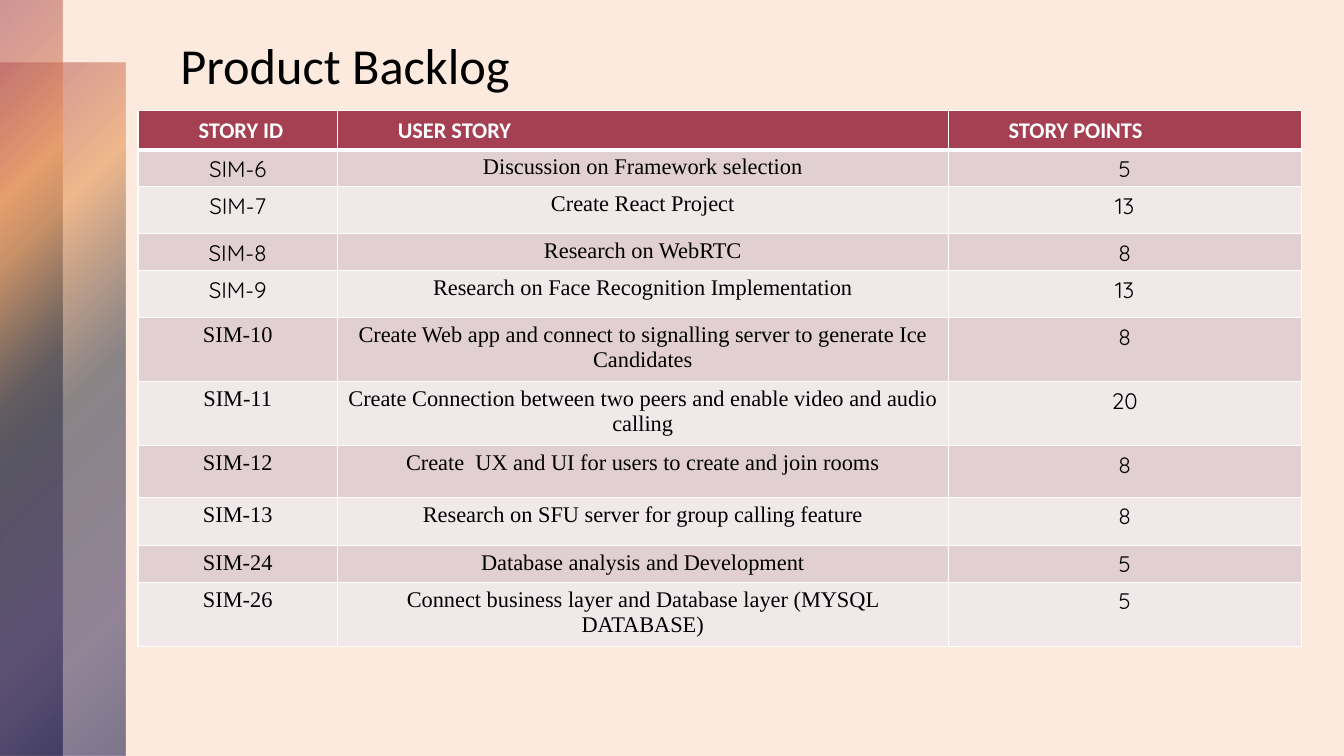
from lxml import etree
from pptx import Presentation
from pptx import util as u
from pptx.dml import color
from pptx.enum import shapes, text
from pptx.oxml import ns

COLORS = {
    "background": "FBEADD", "header": "A53F52", "odd": "E1CFD1", "even": "F0E8E9",
    "white": "FFFFFF", "black": "000000",
}
STRIP_STOPS = [(0, "A53F52", 50), (25, "E99757", 60), (50, "2F3342", 55),
               (81, "2C2153", 50), (99, "01023B", 50)]
HEADERS = ["STORY ID", "USER STORY", "STORY POINTS"]
STORIES = [
    ("SIM-6", "Discussion on Framework selection", "5"),
    ("SIM-7", "Create React Project", "13"),
    ("SIM-8", "Research on WebRTC", "8"),
    ("SIM-9", "Research on Face Recognition Implementation", "13"),
    ("SIM-10", "Create Web app and connect to signalling server to generate Ice Candidates", "8"),
    ("SIM-11", "Create Connection between two peers and enable video and audio calling", "20"),
    ("SIM-12", "Create  UX and UI for users to create and join rooms", "8"),
    ("SIM-13", "Research on SFU server for group calling feature", "8"),
    ("SIM-24", "Database analysis and Development", "5"),
    ("SIM-26", "Connect business layer and Database layer (MYSQL DATABASE)", "5"),
]
COL_WIDTHS = [142.4, 436.3, 252.2]
ROW_HEIGHTS = [27.7, 26.2, 33.6, 26.4, 33.6, 45.7, 45.7, 37, 34.4, 26.4, 45.7]
SANS, SERIF, ROUND = "Calibri", "Times New Roman", "Quicksand"
PLAIN_ID_ROWS = 4


class SlideBuilder:
    def __init__(self, prs):
        self.s = prs.slides.add_slide(prs.slide_layouts[5])
        fill = self.s.background.fill
        fill.solid()
        fill.fore_color.rgb = self.rgb("background")

    def rgb(self, name):
        return color.RGBColor.from_string(COLORS[name])

    def box(self, left, top, width, height):
        return [u.Pt(v) for v in (left, top, width, height)]

    def format(self, p, font, size, name, bold=False):
        for r in p.runs:
            r.font.name = font
            r.font.size = u.Pt(size)
            r.font.bold = bold
            r.font.color.rgb = self.rgb(name)

    def strip(self, *bounds):
        sp = self.s.shapes.add_shape(shapes.MSO_SHAPE.RECTANGLE, *self.box(*bounds))
        sp.shadow.inherit = False
        sp.line.fill.background()
        stops = "".join(
            f'<a:gs pos="{pos * 1000}"><a:srgbClr val="{c}"><a:alpha val="{alpha * 1000}"/>'
            f'</a:srgbClr></a:gs>' for pos, c, alpha in STRIP_STOPS)
        grad = etree.fromstring(
            f'<a:gradFill {ns.nsdecls("a")} rotWithShape="1"><a:gsLst>{stops}</a:gsLst>'
            '<a:path path="circle"><a:fillToRect r="100000" b="100000"/></a:path></a:gradFill>')
        sp._element.spPr.find(ns.qn("a:prstGeom")).addnext(grad)

    def title(self, wording, *bounds):
        sp = self.s.shapes.title
        sp.left, sp.top, sp.width, sp.height = self.box(*bounds)
        tf = sp.text_frame
        tf.text = wording
        tf.word_wrap = True
        tf.auto_size = text.MSO_AUTO_SIZE.SHAPE_TO_FIT_TEXT
        tf.vertical_anchor = text.MSO_ANCHOR.TOP
        p = tf.paragraphs[0]
        p.alignment = text.PP_ALIGN.LEFT
        self.format(p, SANS, 36, "black")

    def borders(self, cell, top, bottom):
        tcPr = cell._tc.get_or_add_tcPr()
        for side, width in (("L", 1), ("R", 1), ("T", top), ("B", bottom)):
            ln = etree.SubElement(tcPr, ns.qn(f"a:ln{side}"), w=str(u.Pt(width)))
            fill = etree.SubElement(ln, ns.qn("a:solidFill"))
            etree.SubElement(fill, ns.qn("a:srgbClr"), val=COLORS["white"])

    def cell(self, cell, wording, row, font):
        self.borders(cell, 3 if row == 1 else 1, 3 if row == 0 else 1)
        cell.fill.solid()
        cell.fill.fore_color.rgb = self.rgb(
            "header" if row == 0 else "odd" if row % 2 else "even")
        cell.text_frame.text = wording
        p = cell.text_frame.paragraphs[0]
        if row == 0:
            p._p.get_or_add_pPr().set("indent", str(u.Pt(36)))
            p.line_spacing = 1.06
            p.space_after = u.Pt(8)
            self.format(p, font, 16, "white", True)
        else:
            p.alignment = text.PP_ALIGN.CENTER
            self.format(p, font, 16, "black")

    def table(self, left, top):
        rows = [HEADERS, *STORIES]
        table = self.s.shapes.add_table(
            len(rows), len(HEADERS),
            *self.box(left, top, sum(COL_WIDTHS), sum(ROW_HEIGHTS))).table
        for col, width in zip(table.columns, COL_WIDTHS):
            col.width = u.Pt(width)
        for i, (row, height) in enumerate(zip(rows, ROW_HEIGHTS)):
            table.rows[i].height = u.Pt(height)
            id_font = ROUND if i <= PLAIN_ID_ROWS else SERIF
            fonts = (id_font, SERIF, ROUND) if i else (SANS,) * 3
            for j, (wording, font) in enumerate(zip(row, fonts)):
                self.cell(table.cell(i, j), wording, i, font)


def main():
    prs = Presentation()
    prs.slide_width, prs.slide_height = u.Pt(960), u.Pt(540)
    slide = SlideBuilder(prs)
    slide.strip(0, 44.6, 89.6, 495.4)
    slide.strip(0, 0, 44.8, 540)
    slide.title("Product Backlog", 121.7, 20.9, 306, 51.1)
    slide.table(98.6, 79.2)
    prs.save("out.pptx")


if __name__ == "__main__":
    main()
